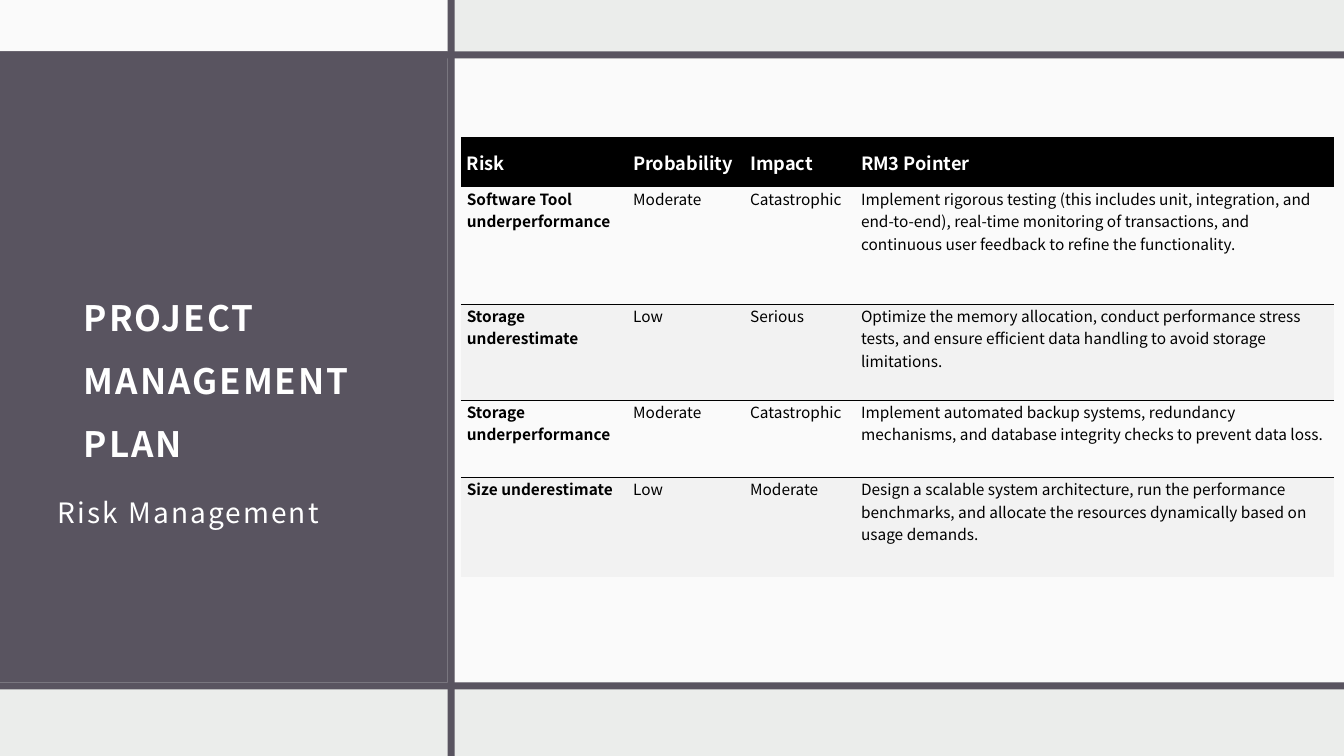
from dataclasses import dataclass

from lxml import etree
from pptx import Presentation
from pptx import util as u
from pptx.dml.color import RGBColor
from pptx.enum import shapes, text
from pptx.oxml import ns

# Content
TITLE = "PROJECT MANAGEMENT PLAN"
SUBTITLE = "Risk Management"
HEADER = ("Risk", "Probability", "Impact", "RM3 Pointer")
RISKS = [
    ("Software Tool underperformance", "Moderate", "Catastrophic",
     "Implement rigorous testing (this includes unit, integration, and end-to-end), "
     "real-time monitoring of transactions, and continuous user feedback to refine "
     "the functionality."),
    ("Storage underestimate", "Low", "Serious",
     "Optimize the memory allocation, conduct performance stress tests, and ensure "
     "efficient data handling to avoid storage limitations."),
    ("Storage underperformance", "Moderate", "Catastrophic",
     "Implement automated backup systems, redundancy mechanisms, and database "
     "integrity checks to prevent data loss."),
    ("Size underestimate", "Low", "Moderate",
     "Design a scalable system architecture, run the performance benchmarks, and "
     "allocate the resources dynamically based on usage demands."),
]


# Theme
@dataclass(frozen=True)
class Theme:
    font: str = "Noto Sans CJK JP"
    background: str = "EBEDEB"
    panel: str = "FAFAFA"
    accent: str = "595460"
    light: str = "FFFFFF"
    dark: str = "000000"
    band: str = "F2F2F2"
    title_size: int = 25
    subtitle_size: int = 20
    header_size: int = 13
    body_size: int = 11


THEME = Theme()

# Grid, in inches: bars divide the slide into two columns and three rows
WIDTH, HEIGHT = 13.33, 7.5
BAR = 0.07
SPLIT_X = 4.44
TOP_Y, BOTTOM_Y = 0.51, 6.77
TITLE_BOX = (0.71, 1.31, 3.41, 4.71)
SUBTITLE_BOX = (0.45, 4.63, 4.16, 1.9)
TEXT_INSETS = (0.12, 0.12, 0.12, 0.1)
TABLE_LEFT, TABLE_TOP = 4.57, 1.36
COLUMNS = (1.65, 1.16, 1.1, 4.75)
ROWS = (0.5, 1.16, 0.95, 0.77, 0.98)
PLAIN_TABLE_STYLE = "{2D5ABB26-0587-4C30-8999-92F81FD0307C}"


def inches(values):
    return [u.Inches(value) for value in values]


def color(name):
    return RGBColor.from_string(name)


def add_block(slide, box, fill):
    block = slide.shapes.add_shape(shapes.MSO_SHAPE.RECTANGLE, *inches(box))
    block.shadow.inherit = False
    block.fill.solid()
    block.fill.fore_color.rgb = color(fill)
    block.line.fill.background()


def write(frame, words, *, size, ink, bold=False, insets=None, anchor=None,
          line_spacing=None, tracking=None):
    frame.word_wrap = True
    if insets:
        frame.auto_size = text.MSO_AUTO_SIZE.NONE
        (frame.margin_left, frame.margin_top,
         frame.margin_right, frame.margin_bottom) = inches(insets)
    if anchor is not None:
        frame.vertical_anchor = anchor
    paragraph = frame.paragraphs[0]
    paragraph.alignment = text.PP_ALIGN.LEFT
    if line_spacing:
        paragraph.line_spacing = line_spacing
    run = paragraph.add_run()
    run.text = words
    run.font.name = THEME.font
    run.font.size = u.Pt(size)
    run.font.bold = bold
    run.font.color.rgb = color(ink)
    if tracking:
        run.font._element.set("spc", str(int(tracking * 100)))


def add_top_border(cell):
    line = etree.Element(ns.qn("a:lnT"), w=str(u.Pt(1)))
    fill = etree.SubElement(line, ns.qn("a:solidFill"))
    etree.SubElement(fill, ns.qn("a:srgbClr"), val=THEME.dark)
    cell._tc.get_or_add_tcPr().insert(0, line)


def add_background(slide):
    slide.background.fill.solid()
    slide.background.fill.fore_color.rgb = color(THEME.background)
    right = SPLIT_X + BAR
    body_top = TOP_Y + BAR
    blocks = [
        ((0, 0, SPLIT_X, TOP_Y), THEME.panel),
        ((0, TOP_Y, SPLIT_X, BOTTOM_Y - TOP_Y), THEME.accent),
        ((right, body_top, WIDTH - right, BOTTOM_Y - body_top), THEME.panel),
        ((0, TOP_Y, WIDTH, BAR), THEME.accent),
        ((0, BOTTOM_Y, WIDTH, BAR), THEME.accent),
        ((SPLIT_X, 0, BAR, HEIGHT), THEME.accent),
    ]
    for box, fill in blocks:
        add_block(slide, box, fill)


def add_headings(slide):
    title = slide.shapes.title
    title.left, title.top, title.width, title.height = inches(TITLE_BOX)
    title.element.getparent().append(title.element)  # in front of the panels
    subtitle = slide.shapes.add_textbox(*inches(SUBTITLE_BOX))
    shared = dict(ink=THEME.light, insets=TEXT_INSETS, line_spacing=1.5, tracking=1.5)
    write(title.text_frame, TITLE, size=THEME.title_size, bold=True,
          anchor=text.MSO_ANCHOR.MIDDLE, **shared)
    write(subtitle.text_frame, SUBTITLE, size=THEME.subtitle_size,
          anchor=text.MSO_ANCHOR.TOP, **shared)


def add_risk_table(slide):
    box = (TABLE_LEFT, TABLE_TOP, sum(COLUMNS), sum(ROWS))
    table = slide.shapes.add_table(len(ROWS), len(COLUMNS), *inches(box)).table
    table.horz_banding = False
    table._tbl.tblPr.find(ns.qn("a:tableStyleId")).text = PLAIN_TABLE_STYLE
    for column, width in zip(table.columns, COLUMNS):
        column.width = u.Inches(width)
    for row, height in zip(table.rows, ROWS):
        row.height = u.Inches(height)

    for row_number, values in enumerate([HEADER, *RISKS]):
        is_header = row_number == 0
        is_band = not is_header and row_number % 2 == 0
        for column_number, words in enumerate(values):
            cell = table.cell(row_number, column_number)
            insets = (0.06, 0.09 if is_header else 0, 0.05, 0.09)
            (cell.margin_left, cell.margin_top,
             cell.margin_right, cell.margin_bottom) = inches(insets)
            cell.vertical_anchor = (text.MSO_ANCHOR.MIDDLE if is_header
                                    else text.MSO_ANCHOR.TOP)
            if is_header or is_band:
                cell.fill.solid()
                cell.fill.fore_color.rgb = color(THEME.dark if is_header else THEME.band)
            else:
                cell.fill.background()
            if is_band:
                add_top_border(cell)
            write(cell.text_frame, words,
                  size=THEME.header_size if is_header else THEME.body_size,
                  ink=THEME.light if is_header else THEME.dark,
                  bold=is_header or column_number == 0)


def main():
    presentation = Presentation()
    presentation.slide_width = u.Inches(WIDTH)
    presentation.slide_height = u.Inches(HEIGHT)
    title_only = presentation.slide_layouts.get_by_name("Title Only")
    slide = presentation.slides.add_slide(title_only)
    add_background(slide)
    add_headings(slide)
    add_risk_table(slide)
    presentation.save("out.pptx")


if __name__ == "__main__":
    main()
